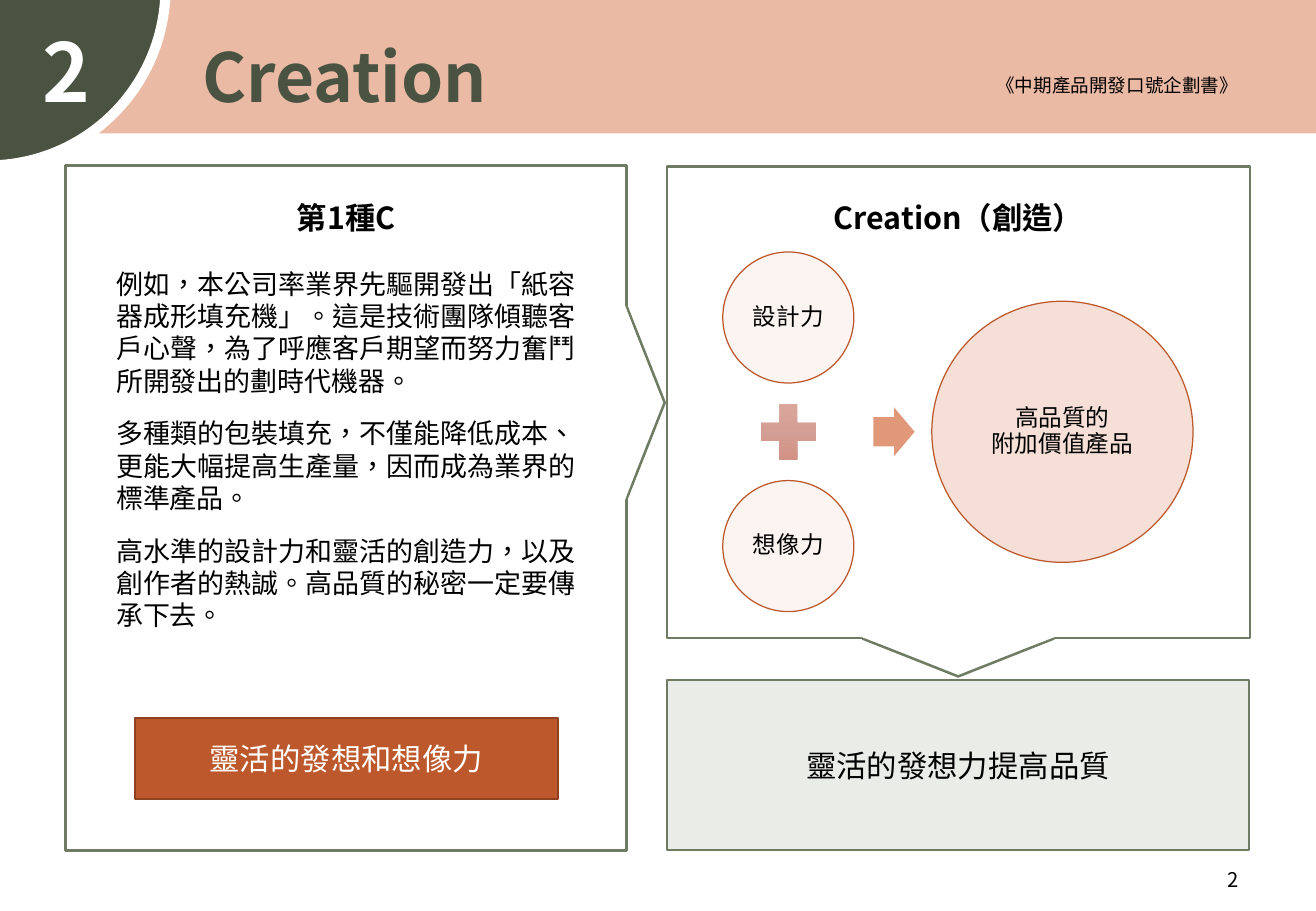
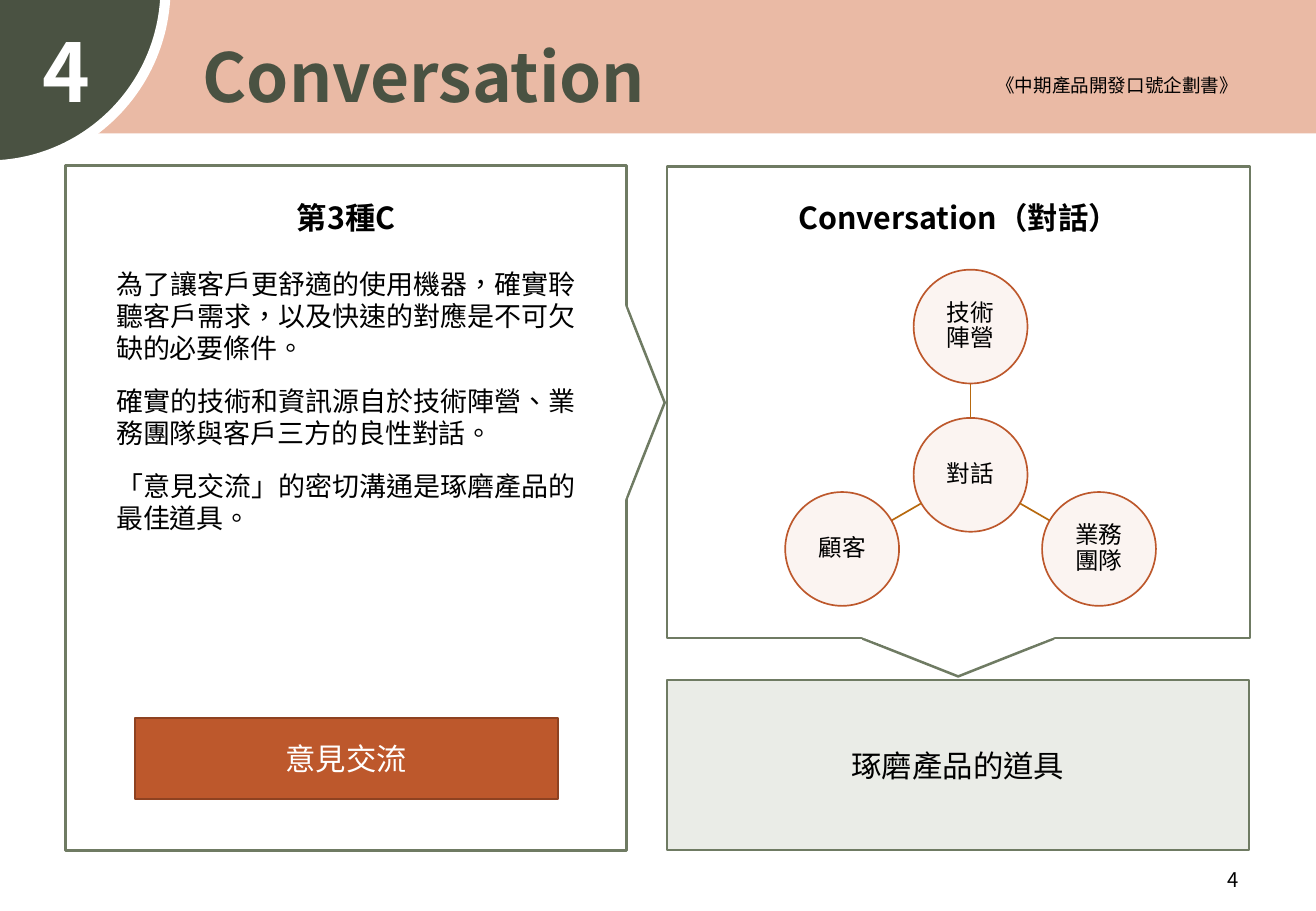
from copy import deepcopy
from math import cos, radians, sin

from pptx import Presentation
from pptx.dml.color import RGBColor
from pptx.enum.shapes import MSO_CONNECTOR, MSO_SHAPE
from pptx.enum.text import MSO_ANCHOR, MSO_AUTO_SIZE, PP_ALIGN
from pptx.oxml.ns import qn
from pptx.oxml.xmlchemy import OxmlElement
from pptx.util import Cm, Pt

RECTANGLE, ELLIPSE, PIE = MSO_SHAPE.RECTANGLE, MSO_SHAPE.OVAL, MSO_SHAPE.PIE
TRIANGLE, ARROW = MSO_SHAPE.ISOSCELES_TRIANGLE, MSO_SHAPE.RIGHT_ARROW
PLUS, STRAIGHT = MSO_SHAPE.MATH_PLUS, MSO_CONNECTOR.STRAIGHT
LEFT, CENTER = PP_ALIGN.LEFT, PP_ALIGN.CENTER
RIGHT, JUSTIFY = PP_ALIGN.RIGHT, PP_ALIGN.JUSTIFY
MIDDLE, GROW = MSO_ANCHOR.MIDDLE, MSO_AUTO_SIZE.SHAPE_TO_FIT_TEXT

FONT = "Noto Sans CJK SC"
PAGE_FONT = "Noto Sans CJK JP"
COLORS = {
    "white": "FFFFFF", "black": "000000", "band": "EABAA5", "dark": "4A5242",
    "frame": "6F7B63", "conclusion": "EAECE7", "button": "BD582C",
    "button_edge": "8E4221", "pale": "F5DDD2", "salmon": "E09878", "spoke": "B7690E",
}
PLUS_STOPS = ((0, "DEAAA0"), (0.5, "D39E93"), (1, "D18D7F"))

# Content
DOCUMENT_TITLE = "《中期產品開發口號企劃書》"
PAGES = [
    {
        "number": "2", "title": "Creation", "kind": "第1種C",
        "body": [
            "例如，本公司率業界先驅開發出「紙容器成形填充機」。這是技術團隊傾聽客戶心聲，"
            "為了呼應客戶期望而努力奮鬥所開發出的劃時代機器。",
            "多種類的包裝填充，不僅能降低成本、更能大幅提高生產量，因而成為業界的標準產品。",
            "高水準的設計力和靈活的創造力，以及創作者的熱誠。高品質的秘密一定要傳承下去。",
        ],
        "button": "靈活的發想和想像力", "heading": "Creation（創造）",
        "conclusion": "靈活的發想力提高品質",
        "sum": (["設計力", "想像力"], "高品質的\n附加價值產品"),
    },
    {
        "number": "4", "title": "Conversation", "kind": "第3種C",
        "body": [
            "為了讓客戶更舒適的使用機器，確實聆聽客戶需求，以及快速的對應是不可欠缺的必要條件。",
            "確實的技術和資訊源自於技術陣營、業務團隊與客戶三方的良性對話。",
            "「意見交流」的密切溝通是琢磨產品的最佳道具。",
        ],
        "button": "意見交流", "heading": "Conversation（對話）",
        "conclusion": "琢磨產品的道具",
        "hub": ("對話", ["技術\n陣營", "業務\n團隊", "顧客"]),
    },
]


def rgb(name):
    return RGBColor.from_string(COLORS[name])


def write(shape, texts, size, color="black", align=CENTER, bold=False, font=FONT,
          space_after=None, line_spacing=None):
    """Fill a shape with one paragraph per text."""
    frame = shape.text_frame
    for index, text in enumerate(texts):
        paragraph = frame.add_paragraph() if index else frame.paragraphs[0]
        paragraph.text = text
        paragraph.alignment = align
        paragraph.line_spacing = line_spacing
        if space_after:
            paragraph.space_after = Pt(space_after)
        for run in paragraph.runs:
            run.font.name, run.font.size, run.font.bold = font, Pt(size), bold
            run.font.color.rgb = rgb(color)
            properties = run.font._element
            properties.set("lang", "zh-TW")
            east_asian = OxmlElement("a:ea")
            east_asian.set("typeface", font)
            properties.find(qn("a:latin")).addnext(east_asian)
        for line_break in paragraph._p.findall(qn("a:br")):
            line_break.append(deepcopy(properties))


def add_text(slide, box, texts, size, wrap=True, **style):
    shape = slide.shapes.add_textbox(*map(Cm, box))
    shape.text_frame.word_wrap = wrap
    shape.text_frame.auto_size = GROW
    write(shape, texts, size, **style)


def add_shape(slide, kind, box, fill, line=None, width=1.5, alpha=None):
    shape = slide.shapes.add_shape(kind, *map(Cm, box))
    shape.shadow.inherit = False
    shape.fill.solid()
    shape.fill.fore_color.rgb = rgb(fill)
    if alpha:
        element = OxmlElement("a:alpha")
        element.set("val", str(alpha * 1000))
        shape._element.spPr.find(qn("a:solidFill"))[0].append(element)
    if line:
        shape.line.color.rgb = rgb(line)
        shape.line.width = Pt(width)
    else:
        shape.line.fill.background()
    return shape


def around(x, y, width, height):
    """Box centred on a point."""
    return x - width / 2, y - height / 2, width, height


def add_circle(slide, x, y, radius, text, fill="pale", width=1):
    shape = add_shape(slide, ELLIPSE, around(x, y, 2 * radius, 2 * radius),
                      fill, "button", width, alpha=30)
    frame = shape.text_frame
    frame.margin_left = frame.margin_right = frame.margin_top = frame.margin_bottom = 0
    frame.vertical_anchor, frame.word_wrap = MIDDLE, True
    write(shape, [text], 14, line_spacing=0.9)


def add_pointer(slide, x, y, rotation):
    """Outlined triangle whose base is opened by a wider white one set back a little."""
    back = 0.08
    turn = radians(rotation - 90)
    add_shape(slide, TRIANGLE, around(x, y, 3.99, 0.79), "white", "frame").rotation = rotation
    cover = around(x - back * cos(turn), y - back * sin(turn), 4.29, 0.79)
    add_shape(slide, TRIANGLE, cover, "white").rotation = rotation


def add_frame(slide, page):
    """Everything the pages share: header, panels, pointers, page number."""
    # Header
    add_shape(slide, RECTANGLE, (0, 0, 27.51, 2.79), "band")
    corner = add_shape(slide, PIE, (-3.96, -3.96, 7.42, 7.42), "dark", "white", 6)
    corner.adjustments[0], corner.adjustments[1] = 0, 54
    add_text(slide, (3.99, 0.61, 12.14, 1.96), [page["title"]], 40,
             color="dark", align=LEFT, bold=True)
    add_text(slide, (0.64, 0.33, 1.3, 2.31), [page["number"]], 48, wrap=False,
             color="white", bold=True)
    add_text(slide, (18.72, 1.42, 7.42, 0.74), [DOCUMENT_TITLE], 11, align=RIGHT)

    # Panels
    add_shape(slide, RECTANGLE, (1.37, 3.46, 11.73, 14.33), "white", "frame")
    conclusion = add_shape(slide, RECTANGLE, (13.94, 14.22, 12.17, 3.56),
                           "conclusion", "frame")
    write(conclusion, [page["conclusion"]], 18)
    add_shape(slide, RECTANGLE, (13.94, 3.48, 12.19, 9.86), "white", "frame")
    add_pointer(slide, 13.5, 8.42, 90)
    add_pointer(slide, 20.03, 13.75, 180)

    # Panel text
    for left, key in ((3.38, "kind"), (16.18, "heading")):
        add_text(slide, (left, 4.04, 7.72, 1.02), [page[key]], 18, bold=True)
    add_text(slide, (2.18, 5.46, 10.11, 7.95), page["body"], 16,
             align=JUSTIFY, space_after=12)
    button = add_shape(slide, RECTANGLE, (2.82, 15.01, 8.84, 1.7),
                       "button", "button_edge", 1)
    write(button, [page["button"]], 18, color="white")
    add_text(slide, (24.82, 18.01, 1.32, 0.76), [page["number"]], 12,
             align=RIGHT, font=PAGE_FONT)


def add_sum(slide, parts, result):
    """Two parts joined by a plus, with an arrow to the result."""
    x, y, offset = 16.48, 9.03, 2.39
    for side, text in zip((-1, 1), parts):
        add_circle(slide, x, y + side * offset, 1.37, text, width=0.75)
    plus = add_shape(slide, PLUS, around(x, y, 1.57, 1.57), "salmon")
    plus.fill.gradient()
    plus.fill.gradient_angle = 270
    stops = plus._element.spPr.find(qn("a:gradFill")).find(qn("a:gsLst"))
    stops.append(deepcopy(stops[0]))
    for stop, (position, color) in zip(plus.fill.gradient_stops, PLUS_STOPS):
        stop.position = position
        stop.color.rgb = RGBColor.from_string(color)
    arrow = add_shape(slide, ARROW, around(18.69, y, 0.86, 1.02), "salmon")
    arrow.adjustments[0], arrow.adjustments[1] = 0.6, 0.5
    add_circle(slide, 22.21, y, 2.73, result, fill="salmon", width=0.75)


def add_hub(slide, center, partners):
    """Partners evenly spaced around a centre, clockwise from the top."""
    x, y, radius, distance = 20.29, 9.93, 1.19, 3.1
    add_circle(slide, x, y, radius, center)
    for index, text in enumerate(partners):
        angle = radians(index * 360 / len(partners) - 90)
        dx, dy = cos(angle), sin(angle)
        ends = [Cm(start + step * reach) for reach in (radius, distance - radius)
                for start, step in ((x, dx), (y, dy))]
        spoke = slide.shapes.add_connector(STRAIGHT, *ends)
        spoke.line.color.rgb = rgb("spoke")
        spoke.line.width = Pt(1)
        spoke._element.spPr.append(OxmlElement("a:effectLst"))
        add_circle(slide, x + distance * dx, y + distance * dy, radius, text)


def main():
    presentation = Presentation()
    presentation.slide_width, presentation.slide_height = Cm(27.51), Cm(19.05)
    for page in PAGES:
        slide = presentation.slides.add_slide(presentation.slide_layouts[6])
        add_frame(slide, page)
        if "sum" in page:
            add_sum(slide, *page["sum"])
        else:
            add_hub(slide, *page["hub"])
    presentation.save("out.pptx")


if __name__ == "__main__":
    main()
